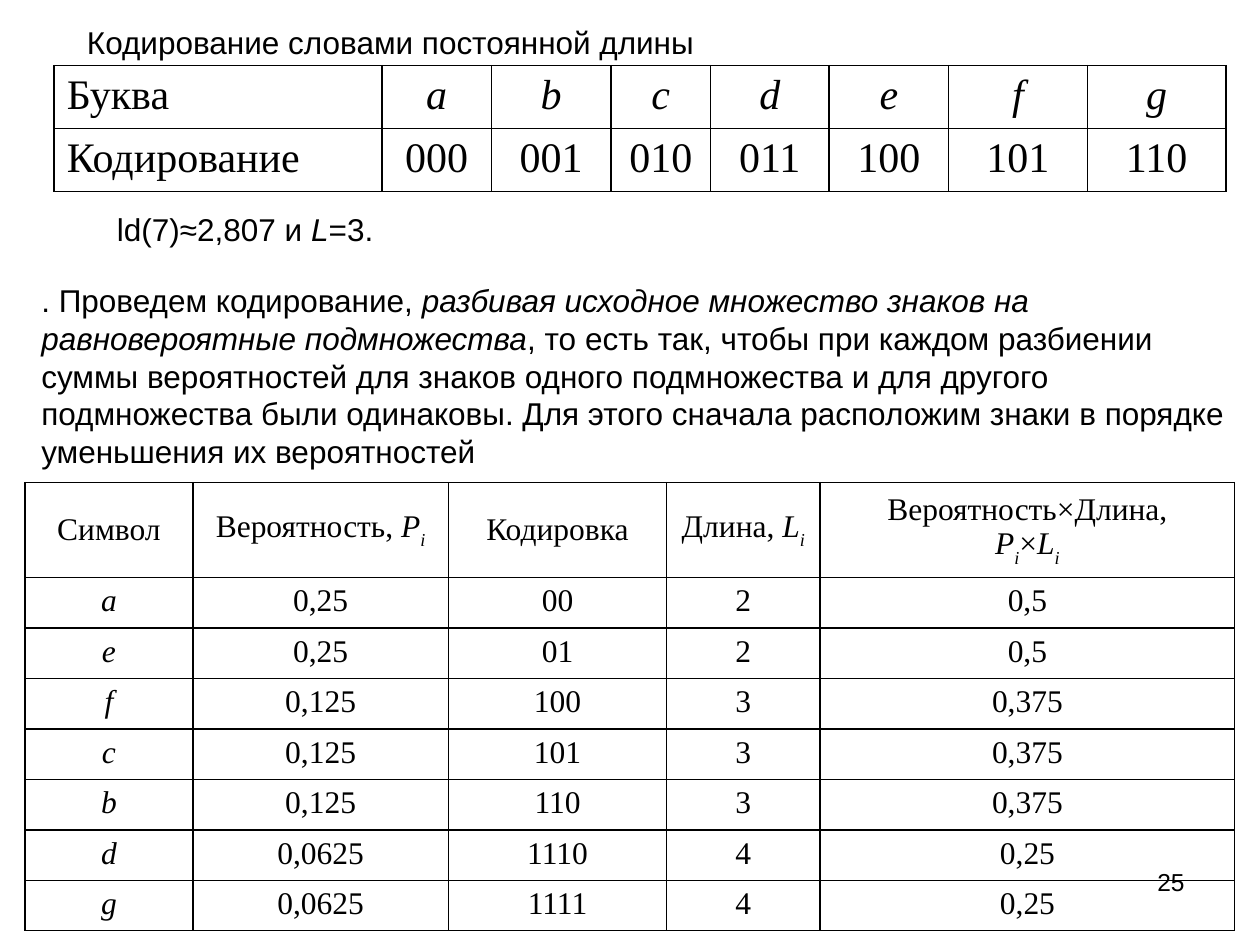
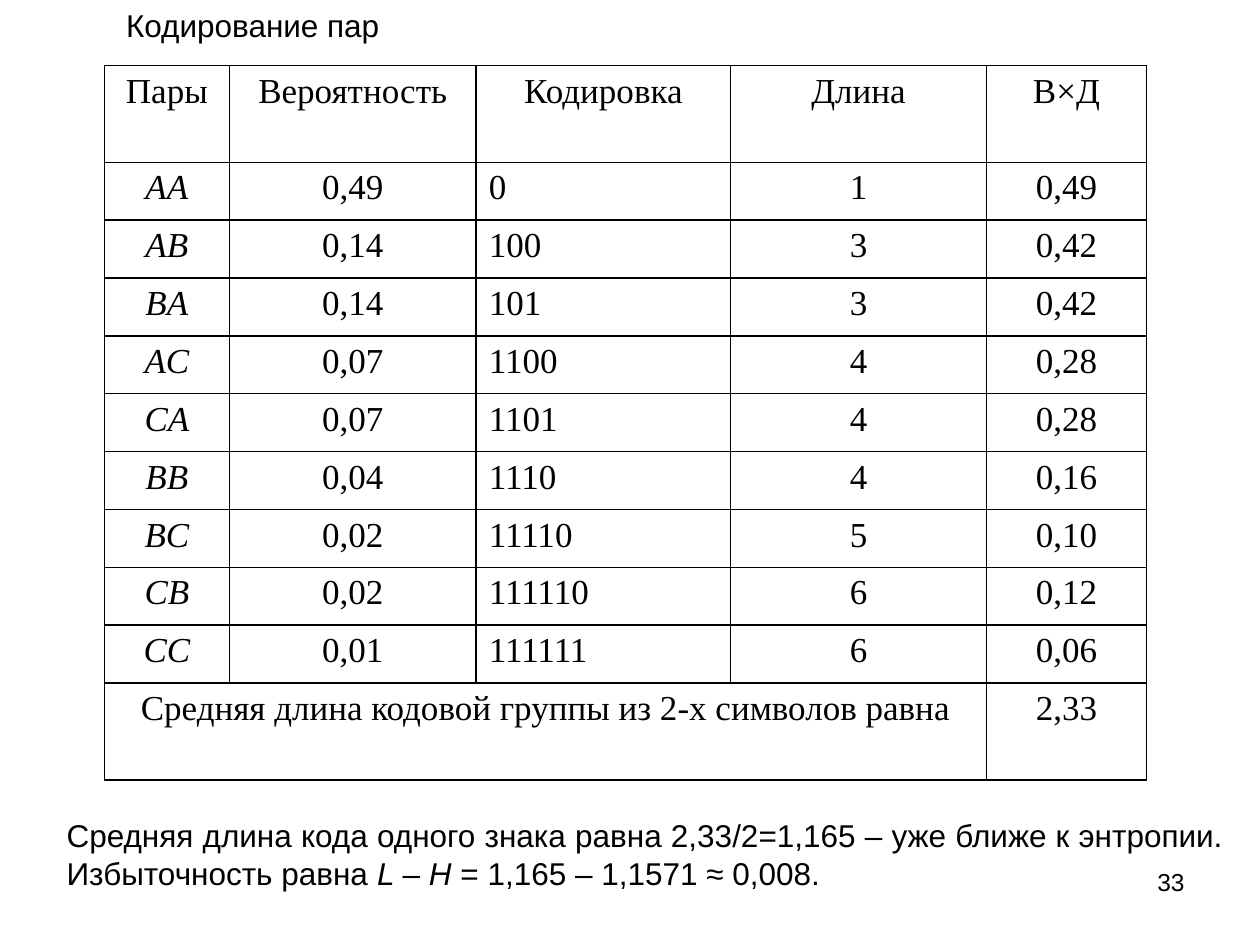
import dataclasses

import lxml.etree
import pptx
import pptx.dml.color
import pptx.enum.text
import pptx.oxml.ns
import pptx.util

Inches = pptx.util.Inches
Align = pptx.enum.text.PP_ALIGN
Anchor = pptx.enum.text.MSO_ANCHOR
AutoSize = pptx.enum.text.MSO_AUTO_SIZE


@dataclasses.dataclass(frozen=True)
class Theme:
    ink: str = "000000"
    text_font: str = "Arial"
    table_font: str = "Times New Roman"
    text_size: int = 18
    number_size: int = 14
    letters_size: int = 24
    symbols_size: int = 18
    pairs_size: int = 20
    border: float = 1


@dataclasses.dataclass(frozen=True)
class Box:
    left: float
    top: float
    width: float
    height: float

    def lengths(self):
        return [Inches(value) for value in dataclasses.astuple(self)]


THEME = Theme()
PLAIN, ITALIC, SUBSCRIPT = "plain", "italic", "subscript"
SLIDE_NUMBER = Box(7.17, 6.83, 2.33, 0.52)

LETTERS = [
    ["Буква", "a", "b", "c", "d", "e", "f", "g"],
    ["Кодирование", "000", "001", "010", "011", "100", "101", "110"],
]
P_I = [("P", ITALIC), ("i", SUBSCRIPT)]
L_I = [("L", ITALIC), ("i", SUBSCRIPT)]
SYMBOLS = [
    ["Символ", [[("Вероятность, ", PLAIN), *P_I]], "Кодировка",
     [[("Длина, ", PLAIN), *L_I]],
     [[("Вероятность×Длина,", PLAIN)], [*P_I, ("×", PLAIN), *L_I]]],
    ["a", "0,25", "00", "2", "0,5"],
    ["e", "0,25", "01", "2", "0,5"],
    ["f", "0,125", "100", "3", "0,375"],
    ["c", "0,125", "101", "3", "0,375"],
    ["b", "0,125", "110", "3", "0,375"],
    ["d", "0,0625", "1110", "4", "0,25"],
    ["g", "0,0625", "1111", "4", "0,25"],
]
PAIRS = [
    ["Пары", "Вероятность", "Кодировка", "Длина", "В×Д"],
    ["AA", "0,49", "0", "1", "0,49"],
    ["AB", "0,14", "100", "3", "0,42"],
    ["BA", "0,14", "101", "3", "0,42"],
    ["AC", "0,07", "1100", "4", "0,28"],
    ["CA", "0,07", "1101", "4", "0,28"],
    ["BB", "0,04", "1110", "4", "0,16"],
    ["BC", "0,02", "11110", "5", "0,10"],
    ["CB", "0,02", "111110", "6", "0,12"],
    ["CC", "0,01", "111111", "6", "0,06"],
    ["Средняя длина кодовой группы из 2-х символов равна", None, None, None, "2,33"],
]


def write(frame, content, font, size, align, style=PLAIN):
    lines = [[(content, style)]] if isinstance(content, str) else content
    for index, line in enumerate(lines):
        para = frame.add_paragraph() if index else frame.paragraphs[0]
        para.alignment = align
        for text, kind in line:
            span = para.add_run()
            span.text = text
            span.font.name = font
            span.font.size = pptx.util.Pt(size)
            span.font.bold = False
            span.font.italic = kind != PLAIN
            span.font.color.rgb = pptx.dml.color.RGBColor.from_string(THEME.ink)
            if kind == SUBSCRIPT:
                span.font._element.set("baseline", "-30000")


def place_title(page, box, text):
    title = page.shapes.title
    title.left, title.top, title.width, title.height = box.lengths()
    frame = title.text_frame
    frame.word_wrap = False
    frame.auto_size = AutoSize.NONE
    frame.vertical_anchor = Anchor.MIDDLE
    write(frame, text, THEME.text_font, THEME.text_size, Align.LEFT)


def place_text(page, box, content, align=Align.LEFT, wrap=True,
               size=THEME.text_size, anchor=Anchor.MIDDLE):
    frame = page.shapes.add_textbox(*box.lengths()).text_frame
    frame.word_wrap = wrap
    frame.vertical_anchor = anchor
    write(frame, content, THEME.text_font, size, align)


def place_slide_number(page, number):
    place_text(page, SLIDE_NUMBER, str(number), Align.RIGHT,
               size=THEME.number_size, anchor=Anchor.TOP)


def outline(cell):
    cell.fill.background()
    properties = cell._tc.get_or_add_tcPr()
    for index, side in enumerate(("lnL", "lnR", "lnT", "lnB")):
        line = lxml.etree.Element(pptx.oxml.ns.qn(f"a:{side}"),
                                  w=str(pptx.util.Pt(THEME.border)))
        fill = lxml.etree.SubElement(line, pptx.oxml.ns.qn("a:solidFill"))
        lxml.etree.SubElement(fill, pptx.oxml.ns.qn("a:srgbClr"), val=THEME.ink)
        properties.insert(index, line)


def place_table(page, box, rows, widths, heights, size, is_italic,
                align_of=lambda row, column: Align.CENTER,
                header_anchor=Anchor.TOP):
    table = page.shapes.add_table(len(rows), len(widths), *box.lengths()).table
    table.first_row = table.horz_banding = False
    for column, width in zip(table.columns, widths):
        column.width = Inches(width * box.width / sum(widths))
    for row, height in zip(table.rows, heights):
        row.height = Inches(height * box.height / sum(heights))
    for row, values in enumerate(rows):
        for column, content in enumerate(values):
            cell = table.cell(row, column)
            outline(cell)
            cell.vertical_anchor = Anchor.TOP if row else header_anchor
            if content is not None:
                style = ITALIC if is_italic(row, column) else PLAIN
                write(cell.text_frame, content, THEME.table_font, size,
                      align_of(row, column), style)
        if None in values:
            table.cell(row, 0).merge(table.cell(row, values.count(None)))


def place_letters(page, box):
    place_table(page, box, LETTERS, [2.6, 0.87, 0.95, 0.79, 0.94, 0.95, 1.1, 1.1],
                [0.5] * 2, THEME.letters_size,
                lambda row, column: row == 0 and column > 0,
                lambda row, column: Align.CENTER if column else Align.JUSTIFY)


def place_symbols(page, box):
    place_table(page, box, SYMBOLS, [1.33, 2.03, 1.73, 1.22, 3.29],
                [0.75] + [0.4] * 7, THEME.symbols_size,
                lambda row, column: row > 0 and column == 0,
                header_anchor=Anchor.MIDDLE)


def place_pairs(page, box):
    last = len(PAIRS) - 1
    place_table(page, box, PAIRS, [0.99, 1.96, 2.02, 2.03, 1.27],
                [0.77] + [0.46] * 9 + [0.77], THEME.pairs_size,
                lambda row, column: 0 < row < last and column == 0,
                lambda row, column: Align.LEFT if row and column == 2 else Align.CENTER)


def build_letter_coding(page):
    place_title(page, Box(0.59, 0.13, 5.1, 0.4), "Кодирование словами постоянной длины")
    place_letters(page, Box(0.43, 0.52, 9.3, 1))
    place_text(page, Box(0.83, 1.62, 2.53, 0.4),
               [[("ld(7)≈2,807 и ", PLAIN), ("L", ITALIC), ("=3.", PLAIN)]],
               Align.JUSTIFY, wrap=False)
    place_text(page, Box(0.23, 2.18, 9.77, 1.6), [[
        (". Проведем кодирование, ", PLAIN),
        ("разбивая исходное множество знаков на равновероятные подмножества", ITALIC),
        (", то есть так, чтобы при каждом разбиении суммы вероятностей для знаков "
         "одного подмножества и для другого подмножества были одинаковы. Для этого "
         "сначала расположим знаки в порядке уменьшения их вероятностей", PLAIN),
    ]])
    place_symbols(page, Box(0.2, 3.83, 9.6, 3.55))
    place_slide_number(page, 25)


def build_pair_coding(page):
    place_title(page, Box(0.9, 0, 2.52, 0.4), "Кодирование пар")
    place_pairs(page, Box(0.83, 0.52, 8.27, 5.67))
    place_text(page, Box(0.43, 6.43, 9.38, 0.7), [[
        ("Средняя длина кода одного знака равна 2,33/2=1,165 – уже ближе к энтропии. "
         "Избыточность равна ", PLAIN),
        ("L – H ", ITALIC),
        ("= 1,165 – 1,1571 ≈ 0,008.", PLAIN),
    ]], Align.JUSTIFY)
    place_slide_number(page, 33)


def main():
    deck = pptx.Presentation()
    deck.slide_width, deck.slide_height = Inches(10), Inches(7.5)
    title_only = deck.slide_layouts.get_by_name("Title Only")
    for build in (build_letter_coding, build_pair_coding):
        build(deck.slides.add_slide(title_only))
    deck.save("out.pptx")


if __name__ == "__main__":
    main()
